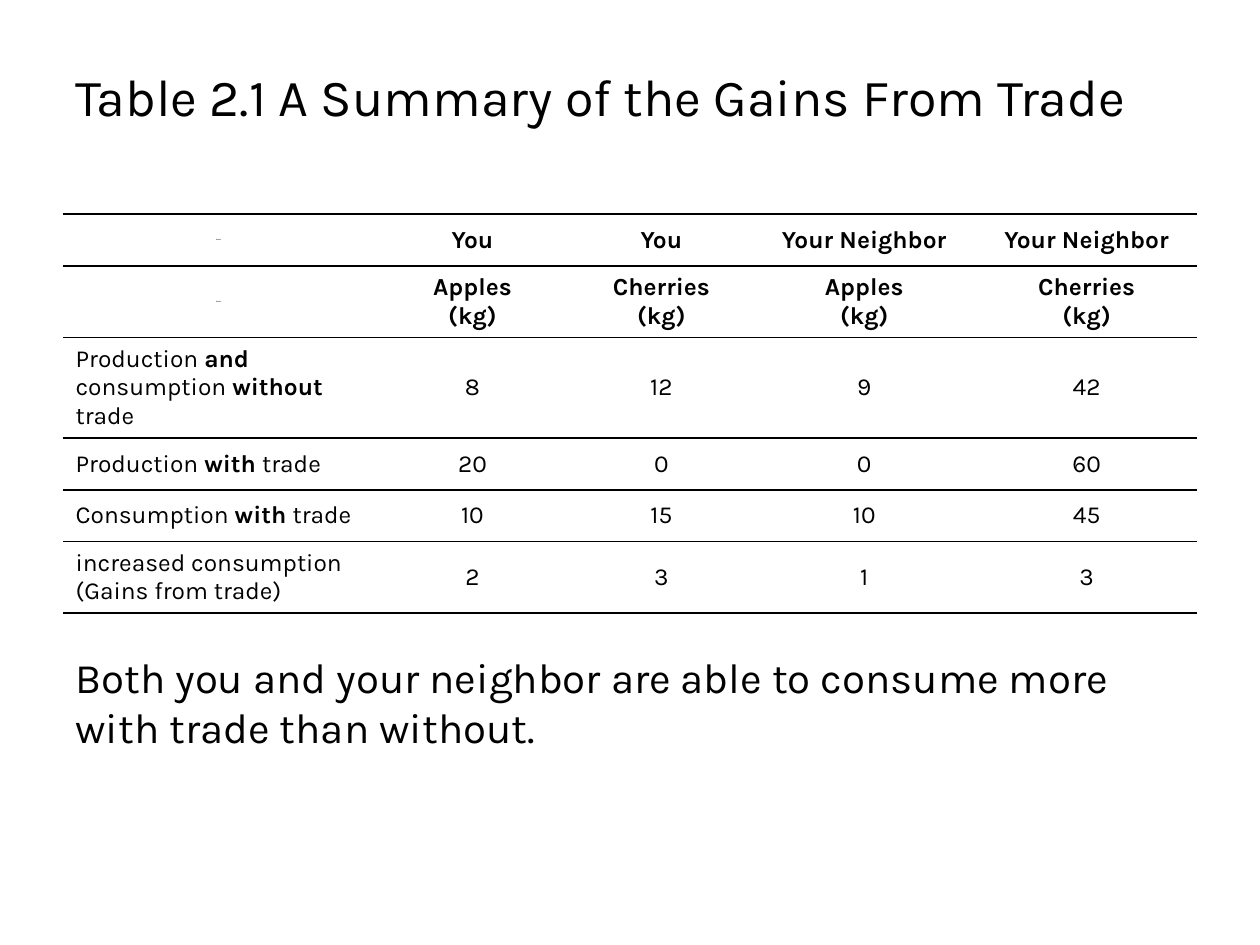
from typing import NamedTuple

import lxml.etree
import pptx
import pptx.dml.color
import pptx.enum.text
import pptx.oxml.ns
import pptx.util
from pptx.util import Inches

BLACK = pptx.dml.color.RGBColor(0x00, 0x00, 0x00)
FONT = "Karla"
BODY_SIZE = 14
BLANK_SIZE = 1
RULE_WIDTH = pptx.util.Pt(1)
ROW_HEIGHT = 0.41
COLUMN_WIDTHS = (2.47, 1.56, 1.44, 1.78, 1.75)
MIDDLE = pptx.enum.text.MSO_ANCHOR.MIDDLE
TOP = pptx.enum.text.MSO_ANCHOR.TOP
CENTER = pptx.enum.text.PP_ALIGN.CENTER
LEFT = pptx.enum.text.PP_ALIGN.LEFT


class TradeRow(NamedTuple):
    """Cell texts; a newline starts a paragraph and asterisks enclose bold words."""
    label: str
    values: tuple[str, ...]
    is_header: bool = False


class Statement(NamedTuple):
    text: str
    left: float
    top: float
    width: float
    height: float
    size: float
    anchor: pptx.enum.text.MSO_ANCHOR
    line_spacing: float


ROWS = (
    TradeRow("*Blank*", ("*You*", "*You*", "*Your Neighbor*", "*Your Neighbor*"), True),
    TradeRow("*Blank*", ("*Apples*\n*(kg)*", "*Cherries*\n*(kg)*") * 2, True),
    TradeRow("Production *and* consumption *without *trade", ("8", "12", "9", "42")),
    TradeRow("Production *with *trade", ("20", "0", "0", "60")),
    TradeRow("Consumption *with *trade", ("10", "15", "10", "45")),
    TradeRow("increased consumption\n(Gains from trade)", ("2", "3", "1", "3")),
)

TITLE = Statement("Table 2.1 A Summary of the Gains From Trade",
                  0.5, 0.25, 9, 1.08, 29.7, MIDDLE, 0.9)
CONCLUSION = Statement(
    "Both you and your neighbor are able to consume more with trade than without.",
    0.5, 5.12, 8.77, 1.09, 24, TOP, 1.0)


def style_font(font: pptx.text.text.Font, size: float, bold: bool = False) -> None:
    font.name = FONT
    font.size = pptx.util.Pt(size)
    font.bold = bold
    font.color.rgb = BLACK


def add_statement(slide: pptx.slide.Slide, statement: Statement) -> None:
    box = slide.shapes.add_textbox(
        Inches(statement.left), Inches(statement.top),
        Inches(statement.width), Inches(statement.height))
    frame = box.text_frame
    frame.word_wrap = True
    frame.vertical_anchor = statement.anchor
    frame.text = statement.text
    paragraph = frame.paragraphs[0]
    paragraph.line_spacing = statement.line_spacing
    style_font(paragraph.runs[0].font, statement.size)


def rule_cell(cell: pptx.table._Cell) -> None:
    """Draw rules above and below the cell, and none at its sides."""
    properties = cell._tc.get_or_add_tcPr()
    for position, edge in enumerate(("lnL", "lnR", "lnT", "lnB")):
        line = lxml.etree.Element(pptx.oxml.ns.qn(f"a:{edge}"))
        if edge in ("lnT", "lnB"):
            line.set("w", str(RULE_WIDTH))
            fill = lxml.etree.SubElement(line, pptx.oxml.ns.qn("a:solidFill"))
            lxml.etree.SubElement(fill, pptx.oxml.ns.qn("a:srgbClr"), val=str(BLACK))
        else:
            lxml.etree.SubElement(line, pptx.oxml.ns.qn("a:noFill"))
        properties.insert(position, line)


def fill_cell(cell: pptx.table._Cell, text: str, size: float,
              alignment: pptx.enum.text.PP_ALIGN) -> None:
    cell.fill.background()
    cell.vertical_anchor = MIDDLE
    rule_cell(cell)
    frame = cell.text_frame
    for index, line in enumerate(text.split("\n")):
        paragraph = frame.add_paragraph() if index else frame.paragraphs[0]
        paragraph.alignment = alignment
        for part, words in enumerate(line.split("*")):
            if words:
                run = paragraph.add_run()
                run.text = words
                style_font(run.font, size, bold=part % 2 == 1)


def add_trade_table(slide: pptx.slide.Slide) -> None:
    table = slide.shapes.add_table(
        len(ROWS), len(COLUMN_WIDTHS), Inches(0.5), Inches(1.7),
        Inches(sum(COLUMN_WIDTHS)), Inches(ROW_HEIGHT * len(ROWS))).table
    table.first_row = True
    table.horz_banding = False
    for column, width in zip(table.columns, COLUMN_WIDTHS):
        column.width = Inches(width)
    for row, trade in zip(table.rows, ROWS):
        row.height = Inches(ROW_HEIGHT)
        label_cell, *value_cells = row.cells
        fill_cell(label_cell, trade.label,
                  BLANK_SIZE if trade.is_header else BODY_SIZE,
                  CENTER if trade.is_header else LEFT)
        for cell, value in zip(value_cells, trade.values):
            fill_cell(cell, value, BODY_SIZE, CENTER)


def main() -> None:
    presentation = pptx.Presentation()
    presentation.slide_width = Inches(10)
    presentation.slide_height = Inches(7.5)
    slide = presentation.slides.add_slide(presentation.slide_layouts[6])
    add_statement(slide, TITLE)
    add_trade_table(slide)
    add_statement(slide, CONCLUSION)
    presentation.save("out.pptx")


if __name__ == "__main__":
    main()
